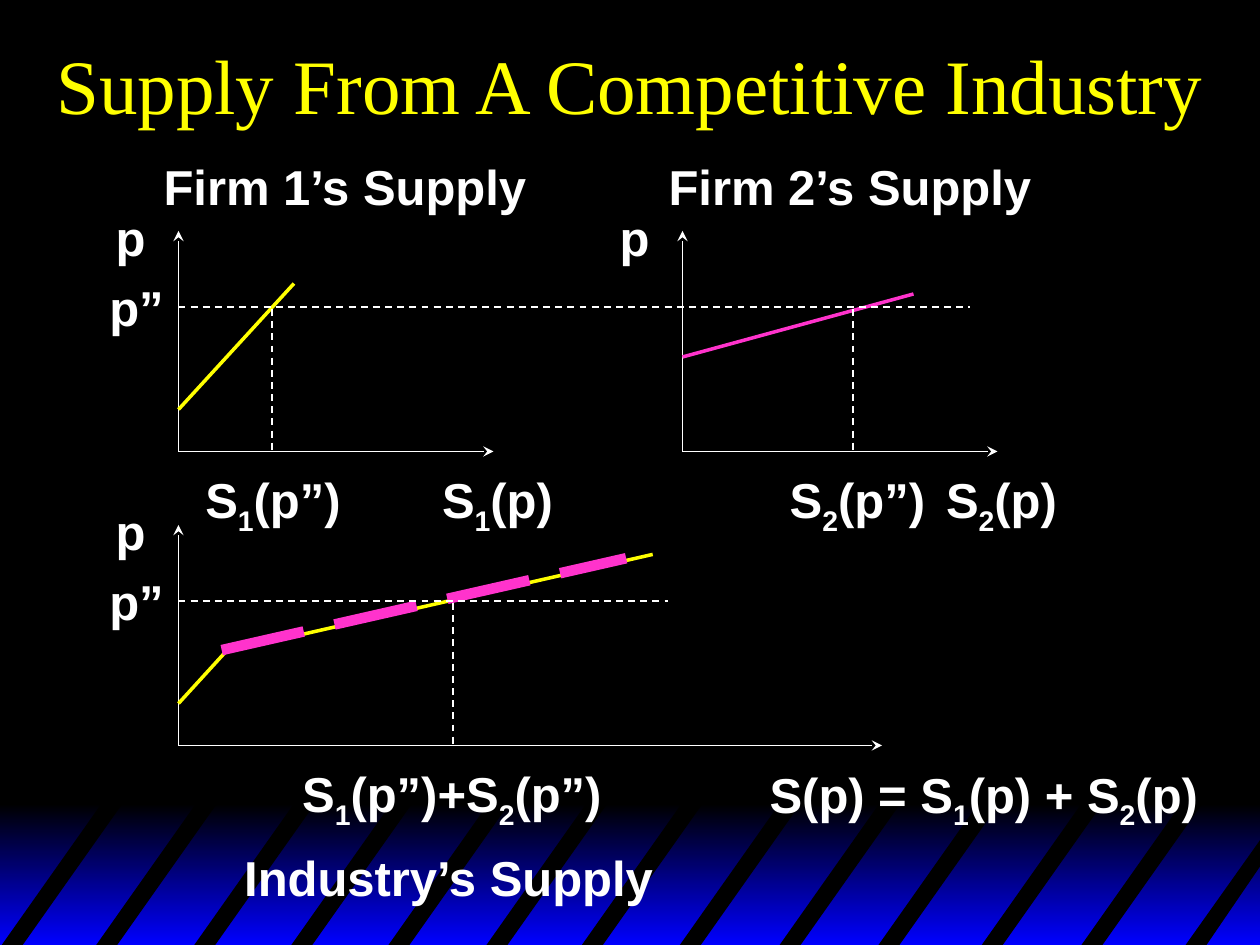
from pptx import Presentation
from pptx.dml.color import RGBColor
from pptx.enum.dml import MSO_LINE
from pptx.enum.shapes import MSO_CONNECTOR, MSO_SHAPE
from pptx.enum.text import MSO_ANCHOR, MSO_AUTO_SIZE, PP_ALIGN
from pptx.oxml.ns import qn
from pptx.util import Pt
from lxml.etree import SubElement

BLACK = RGBColor(0, 0, 0)
BLUE = RGBColor(0, 0, 255)
WHITE = RGBColor(255, 255, 255)
YELLOW = RGBColor(255, 255, 0)
PINK = RGBColor(255, 51, 204)


def line(slide, box, start, end, color=WHITE, size=1, dash=None, arrow=False):
    """Draw a straight line between two points given relative to the box."""
    left, top = box[:2]
    link = slide.shapes.add_connector(
        MSO_CONNECTOR.STRAIGHT, Pt(left + start[0]), Pt(top + start[1]),
        Pt(left + end[0]), Pt(top + end[1]))
    link.line.color.rgb = color
    link.line.width = Pt(size)
    if dash:
        link.line.dash_style = dash
    if arrow:
        SubElement(link.line._get_or_add_ln(), qn("a:tailEnd"), type="stealth")
    SubElement(link._element.spPr, qn("a:effectLst"))


def label(slide, box, x, y, wide, text):
    """Write a bold label; the character after each _ is a subscript."""
    high = 45.4 if "_" in text else 41
    area = slide.shapes.add_textbox(
        Pt(box[0] + x), Pt(box[1] + y), Pt(wide), Pt(high))
    frame = area.text_frame
    frame.word_wrap = False
    frame.auto_size = MSO_AUTO_SIZE.SHAPE_TO_FIT_TEXT
    para = frame.paragraphs[0]
    first, *rest = text.split("_")
    parts = [(first, False)]
    for part in rest:
        parts += [(part[0], True), (part[1:], False)]
    for words, low in parts:
        run = para.add_run()
        run.text = words
        font = run.font
        font.name, font.size, font.bold = "Arial", Pt(28), True
        font.color.rgb = WHITE
        if low:
            run._r.get_or_add_rPr().set("baseline", "-25000")


def band(slide, box):
    """Blue gradient crossed by slanted black stripes."""
    left, top, wide, high = box
    base = slide.shapes.add_shape(
        MSO_SHAPE.RECTANGLE, Pt(left), Pt(top), Pt(wide), Pt(high))
    base.shadow.inherit = False
    base.line.fill.background()
    base.fill.gradient()
    base.fill.gradient_angle = 270
    for stop, color, place in zip(base.fill.gradient_stops, (BLACK, BLUE), (0, 1)):
        stop.color.rgb = color
        stop.position = place

    # Stripes, the last one cut off at the right edge
    head, foot, lean, thick = top - 3, top + 82, 60, 12
    starts = (0, 54, 110, 165.5, 221, 277, 331.5, 387.5, 444.5, 501, 560, 617)
    stripes = [[(x, foot), (x + lean, head), (x + lean + thick, head),
                (x + thick, foot)] for x in starts]
    stripes.append([(676.5, foot), (wide, 478), (wide, 493), (688.5, foot)])
    for points in stripes:
        path = slide.shapes.build_freeform(
            Pt(left + points[0][0]), Pt(points[0][1]))
        path.add_line_segments(
            [(Pt(left + x), Pt(y)) for x, y in points[1:]], close=True)
        stripe = path.convert_to_shape()
        stripe.shadow.inherit = False
        stripe.fill.solid()
        stripe.fill.fore_color.rgb = BLACK
        stripe.line.fill.background()


def title(slide, box, text):
    area = slide.shapes.add_textbox(*map(Pt, box))
    frame = area.text_frame
    frame.word_wrap = True
    frame.vertical_anchor = MSO_ANCHOR.MIDDLE
    frame.text = text
    para = frame.paragraphs[0]
    para.alignment = PP_ALIGN.CENTER
    font = para.runs[0].font
    font.name, font.size = "Times New Roman", Pt(44)
    font.color.rgb = YELLOW


def graph(slide, box, curves, drop, labels, level=None):
    """Supply graph whose box spans its two axes."""
    wide, high = box[2:]
    price = 43.6
    # Axes
    line(slide, box, (0, high), (0, 0), arrow=True)
    line(slide, box, (0, high), (wide, high), arrow=True)
    label(slide, box, -43, -17, 31.7, "p")
    # Supply curves
    for curve in curves:
        line(slide, box, *curve)
    # Guides for the price p” and its quantity
    if level:
        line(slide, box, (0, price), (level, price), dash=MSO_LINE.DASH)
        label(slide, box, -46.6, 22.8, 45.4, "p”")
    line(slide, box, (drop, price + 1), (drop, high), dash=MSO_LINE.DASH)
    # Names of the graph and its quantities
    for item in labels:
        label(slide, box, *item)


def main():
    deck = Presentation()
    deck.slide_width, deck.slide_height = Pt(720), Pt(540)
    slide = deck.slides.add_slide(deck.slide_layouts[6])
    slide.background.fill.solid()
    slide.background.fill.fore_color.rgb = BLACK

    band(slide, (0, 459.4, 721.5, 80.6))
    title(slide, (0, 0, 720, 96), "Supply From A Competitive Industry")

    # Firm 2 comes first, so that the shared price guide lies over it
    graph(slide, (390, 132, 180, 126),
          [((0, 72), (132, 36), PINK, 2)], 97.4,
          [(-15, -46.3, 222.5, "Firm 2’s Supply"),
           (54.2, 133, 92.2, "S_2(p”)"), (143.5, 133, 77.8, "S_2(p)")])
    graph(slide, (102, 132, 180, 126),
          [((0, 102), (66, 30), YELLOW, 2)], 53.5,
          [(-15.6, -46.3, 222.5, "Firm 1’s Supply"),
           (8.2, 133, 92.2, "S_1(p”)"), (143.5, 133, 77.8, "S_1(p)")],
          level=452.4)
    graph(slide, (102, 300, 402, 126),
          [((0, 102), (28.3, 71), YELLOW, 2),
           ((28.3, 72.2), (271, 16.8), YELLOW, 2),
           ((24.7, 71.5), (255.8, 19), PINK, 6, MSO_LINE.LONG_DASH)], 157,
          [(30.5, 181, 249, "Industry’s Supply"),
           (63.6, 133, 185.8, "S_1(p”)+S_2(p”)"),
           (330.7, 133.4, 259.2, "S(p) = S_1(p) + S_2(p)")],
          level=279.6)

    deck.save("out.pptx")


if __name__ == "__main__":
    main()
